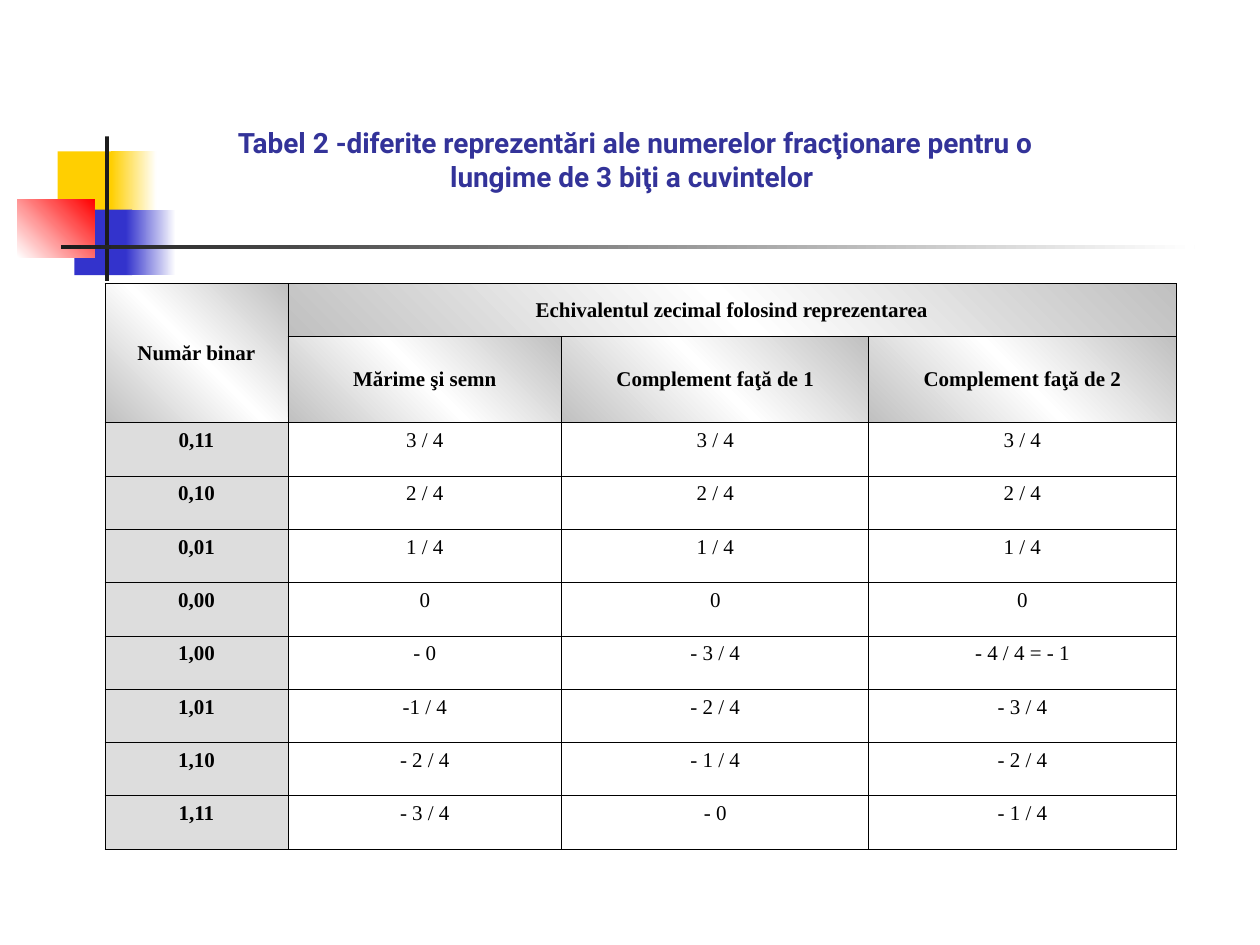
import pptx
import pptx.dml.color
import pptx.enum.shapes
import pptx.enum.text
import pptx.oxml
import pptx.oxml.ns
import pptx.util
from lxml import etree

Pt = pptx.util.Pt
RGBColor = pptx.dml.color.RGBColor
qn = pptx.oxml.ns.qn
PP_ALIGN = pptx.enum.text.PP_ALIGN
MSO_ANCHOR = pptx.enum.text.MSO_ANCHOR

COLORS = {
    "yellow": "FFCF01", "blue": "3333CC", "red": "FF0000", "dark": "1C1C1C",
    "white": "FFFFFF", "title": "333399", "black": "000000",
    "silver": "C0C0C0", "label": "DDDDDD",
}


def paint(fill, element, names, angle=0):
    if len(names) == 1:
        fill.solid()
        fill.fore_color.rgb = RGBColor.from_string(COLORS[names[0]])
        return
    fill.gradient()
    fill.gradient_angle = angle
    stops = next(element.iter(qn("a:gsLst")))
    for stop in list(stops):
        stops.remove(stop)
    for index, name in enumerate(names):
        position = 100000 * index // (len(names) - 1)
        stop = etree.SubElement(stops, qn("a:gs"), pos=str(position))
        etree.SubElement(stop, qn("a:srgbClr"), val=COLORS[name])


def add_borders(cell):
    properties = cell._tc.get_or_add_tcPr()
    for side in ("a:lnL", "a:lnR", "a:lnT", "a:lnB"):
        line = etree.SubElement(properties, qn(side), w=str(Pt(0.45)))
        solid = etree.SubElement(line, qn("a:solidFill"))
        etree.SubElement(solid, qn("a:srgbClr"), val=COLORS["black"])


presentation = pptx.Presentation()
presentation.slide_width = Pt(720)
presentation.slide_height = Pt(540)
slide = presentation.slides.add_slide(presentation.slide_layouts[5])

decorations = [
    (33, 86.5, 34.5, 37.5, ["yellow"], 0),
    (63.5, 86.5, 26, 37.5, ["yellow", "white"], 0),
    (42.5, 119.75, 33, 37.5, ["blue"], 0),
    (72, 119.75, 28.5, 37.5, ["blue", "white"], 0),
    (10, 113.75, 44, 33.25, ["white", "red"], 45),
    (60, 78, 2.25, 82.5, ["dark"], 0),
    (34.75, 140.25, 648, 2.25, ["dark", "white"], 0),
]
for left, top, width, height, names, angle in decorations:
    shape = slide.shapes.add_shape(
        pptx.enum.shapes.MSO_SHAPE.RECTANGLE, Pt(left), Pt(top), Pt(width), Pt(height))
    shape.shadow.inherit = False
    shape.line.fill.background()
    paint(shape.fill, shape._element.spPr, names, angle)

title = slide.shapes.title
title.left, title.top, title.width, title.height = Pt(108), Pt(60), Pt(510), Pt(54)
title.text_frame.text = (
    "Tabel 2 -diferite reprezentări ale numerelor fracţionare "
    "pentru o lungime de 3 biţi a cuvintelor ")
title.text_frame.word_wrap = True
title.text_frame.auto_size = pptx.enum.text.MSO_AUTO_SIZE.NONE
title.text_frame.vertical_anchor = MSO_ANCHOR.BOTTOM
paragraph = title.text_frame.paragraphs[0]
paragraph.alignment = PP_ALIGN.CENTER
paragraph.font.name = "Roboto"
paragraph.font.size = Pt(16)
paragraph.font.bold = True
paragraph.font.color.rgb = RGBColor.from_string(COLORS["title"])

rows = [
    ["Număr binar", "Echivalentul zecimal folosind reprezentarea", "", ""],
    ["", "Mărime şi semn", "Complement faţă de 1", "Complement faţă de 2"],
    ["0,11", "3 / 4", "3 / 4", "3 / 4"],
    ["0,10", "2 / 4", "2 / 4", "2 / 4"],
    ["0,01", "1 / 4", "1 / 4", "1 / 4"],
    ["0,00", "0", "0", "0"],
    ["1,00", "- 0", "- 3 / 4", "- 4 / 4 = - 1"],
    ["1,01", "-1 / 4", "- 2 / 4", "- 3 / 4"],
    ["1,10", "- 2 / 4", "- 1 / 4", "- 2 / 4"],
    ["1,11", "- 3 / 4", "- 0", "- 1 / 4"],
]
table = slide.shapes.add_table(
    len(rows), 4, Pt(60), Pt(162), Pt(612), Pt(323.5)).table
table.first_row = False
table.horz_banding = False
for column, width in zip(table.columns, (104.5, 156.5, 175.5, 175.5)):
    column.width = Pt(width)
for row in table.rows:
    row.height = Pt(30.5)
table.rows[1].height = Pt(49)
table.cell(0, 0).merge(table.cell(1, 0))
table.cell(0, 1).merge(table.cell(0, 3))

for row_index, texts in enumerate(rows):
    for column_index, text in enumerate(texts):
        cell = table.cell(row_index, column_index)
        is_header = row_index < 2
        add_borders(cell)
        if is_header:
            paint(cell.fill, cell._tc, ["silver", "white", "silver"], 45)
        elif column_index == 0:
            paint(cell.fill, cell._tc, ["label"])
        else:
            cell.fill.background()
        cell.vertical_anchor = MSO_ANCHOR.MIDDLE if is_header else MSO_ANCHOR.TOP
        if cell.is_spanned:
            continue
        cell.text = text
        paragraph = cell.text_frame.paragraphs[0]
        paragraph.alignment = PP_ALIGN.CENTER
        paragraph.font.name = "Times New Roman"
        paragraph.font.size = Pt(12)
        paragraph.font.bold = is_header or column_index == 0
        paragraph.font.color.rgb = RGBColor.from_string(COLORS["black"])

presentation.save("out.pptx")
